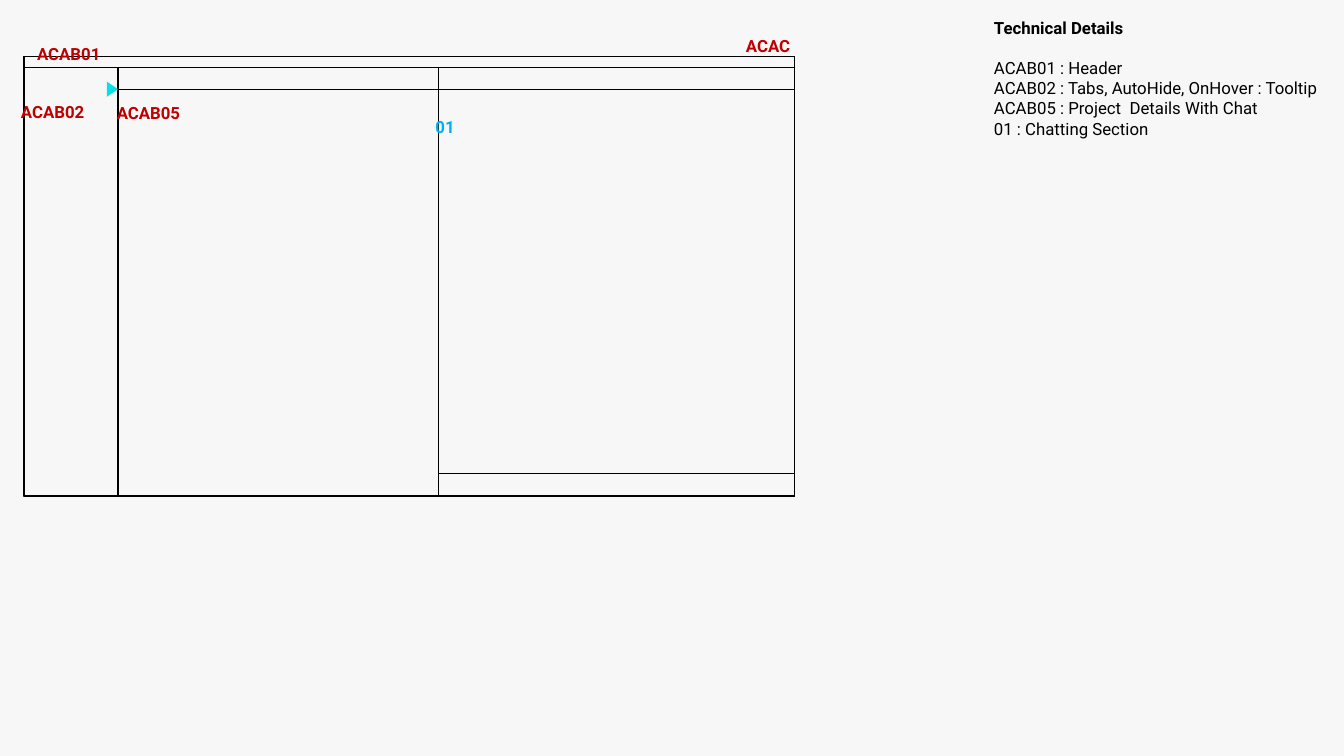
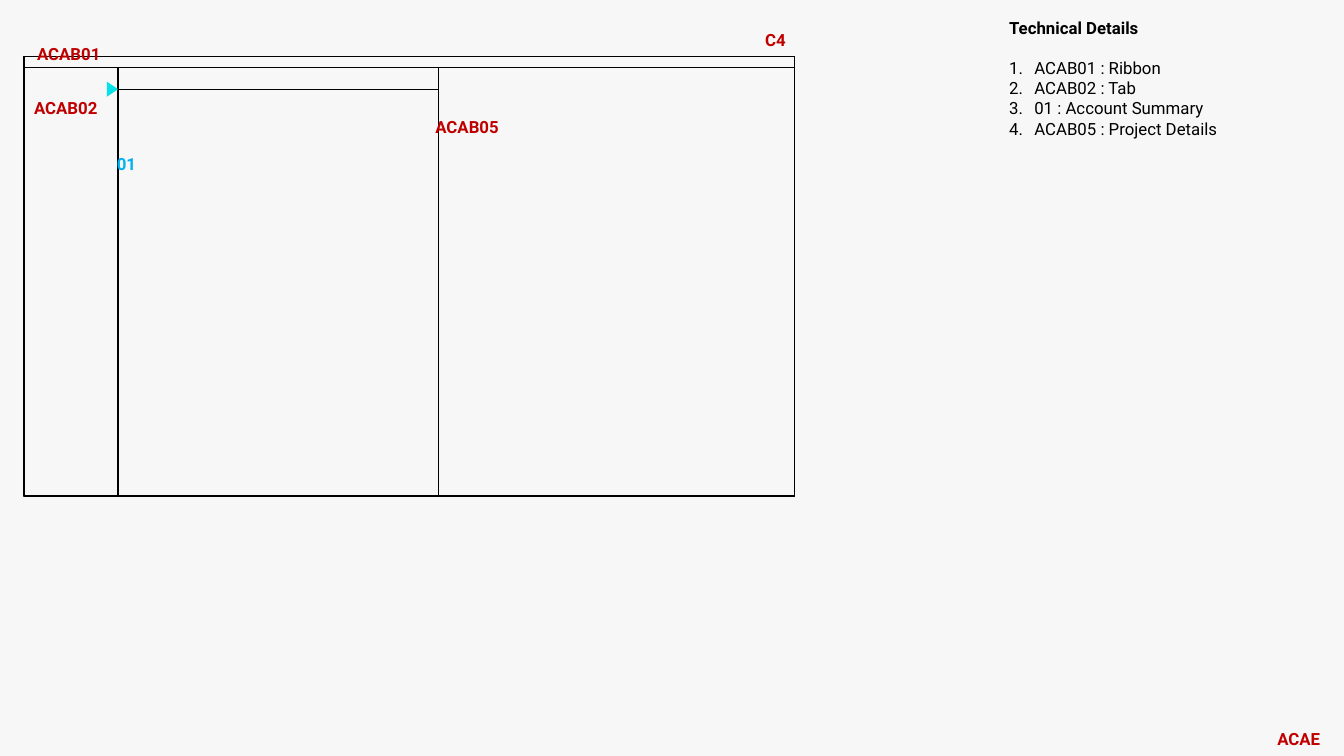
import lxml.etree
import pptx
import pptx.dml.color
import pptx.enum.shapes
import pptx.enum.text
import pptx.oxml.ns
import pptx.util

Inches = pptx.util.Inches
Pt = pptx.util.Pt
RGB = pptx.dml.color.RGBColor.from_string
SHAPE = pptx.enum.shapes.MSO_SHAPE


class Theme:
    font = "Roboto"
    size = Pt(12)
    line_width = Pt(1)
    heading_gap = Pt(14)
    background = RGB("F7F7F7")
    ink = RGB("000000")
    code = RGB("C00000")
    section = RGB("00B0F0")
    marker = RGB("05E1E7")


def add_text(s, x, y, w, h, lines, color, numbered=False):
    """Text box with a bold first line; further lines are plain, optionally numbered."""
    tf = s.shapes.add_textbox(Inches(x), Inches(y), Inches(w), Inches(h)).text_frame
    tf.word_wrap = True
    tf.auto_size = pptx.enum.text.MSO_AUTO_SIZE.SHAPE_TO_FIT_TEXT
    for i, line in enumerate(lines):
        p = tf.add_paragraph() if i else tf.paragraphs[0]
        r = p.add_run()
        r.text = line
        r.font.name, r.font.size = Theme.font, Theme.size
        r.font.bold = i == 0
        r.font.color.rgb = color
        if i == 0 and len(lines) > 1:
            p.space_after = Theme.heading_gap
        elif numbered:
            pPr = p._p.get_or_add_pPr()
            pPr.set("marL", str(Inches(0.25)))
            pPr.set("indent", str(-Inches(0.25)))
            bullet = lxml.etree.SubElement(pPr, pptx.oxml.ns.qn("a:buAutoNum"))
            bullet.set("type", "arabicPeriod")


def add_box(s, x, y, w, h):
    """Unfilled wireframe rectangle."""
    sp = s.shapes.add_shape(SHAPE.RECTANGLE, Inches(x), Inches(y), Inches(w), Inches(h))
    sp.shadow.inherit = False
    sp.fill.background()
    sp.line.color.rgb = Theme.ink
    sp.line.width = Theme.line_width


# Wireframe edges
left, tabs_right, chat_left, right = 0.24, 1.17, 4.35, 7.88
top, header_bottom, bottom = 0.56, 0.67, 4.92
bar = 0.22
body = bottom - header_bottom
chat = right - chat_left

frame = [
    (left, top, right - left, bottom - top),
    (left, top, right - left, header_bottom - top),
    (left, header_bottom, tabs_right - left, body),
    (tabs_right, header_bottom, chat_left - tabs_right, body),
    (chat_left, header_bottom, chat, body),
    (tabs_right, header_bottom, chat_left - tabs_right, bar),
]

# Content: labels are (text, left, top, width, colour)
screens = [
    {
        "bars": [(chat_left, header_bottom, chat, bar), (chat_left, bottom - bar, chat, bar)],
        "labels": [
            ("ACAB01", 0.27, 0.38, 0.93, Theme.code),
            ("ACAB02", 0.11, 0.96, 0.95, Theme.code),
            ("ACAB05", 1.06, 0.97, 0.95, Theme.code),
            ("01", 4.22, 1.11, 0.79, Theme.section),
            ("ACAC", 7.3, 0.31, 0.79, Theme.code),
        ],
        "details_at": (9.76, 0.13, 3.47, 1.51),
        "details": [
            "ACAB01 : Header",
            "ACAB02 : Tabs, AutoHide, OnHover : Tooltip",
            "ACAB05 : Project  Details With Chat",
            "01 : Chatting Section",
        ],
        "numbered": False,
    },
    {
        "bars": [],
        "labels": [
            ("ACAB01", 0.27, 0.38, 0.9, Theme.code),
            ("01", 1.06, 1.48, 0.79, Theme.section),
            ("ACAB05", 4.22, 1.11, 0.94, Theme.code),
            ("C4", 7.49, 0.25, 0.79, Theme.code),
            ("ACAE", 12.57, 7.18, 0.79, Theme.code),
            ("ACAB02", 0.24, 0.92, 0.9, Theme.code),
        ],
        "details_at": (9.91, 0.13, 3.32, 1.72),
        "details": [
            "ACAB01 : Ribbon",
            "ACAB02 : Tab",
            "01 : Account Summary",
            "ACAB05 : Project Details",
        ],
        "numbered": True,
    },
]

prs = pptx.Presentation()
prs.slide_width, prs.slide_height = Inches(13.33), Inches(7.5)
fill = prs.slide_master.background.fill
fill.solid()
fill.fore_color.rgb = Theme.background

for screen in screens:
    s = prs.slides.add_slide(prs.slide_layouts[6])

    # Wireframe
    for box in frame + screen["bars"]:
        add_box(s, *box)

    # Tab panel marker
    sp = s.shapes.add_shape(SHAPE.ISOSCELES_TRIANGLE, Inches(1.04), Inches(0.83),
                            Inches(0.15), Inches(0.11))
    sp.rotation = 90
    sp.shadow.inherit = False
    sp.fill.solid()
    sp.fill.fore_color.rgb = Theme.marker
    sp.line.fill.background()

    # Labels
    for text, x, y, w, color in screen["labels"]:
        add_text(s, x, y, w, 0.3, [text], color)

    # Technical details
    add_text(s, *screen["details_at"], ["Technical Details"] + screen["details"],
             Theme.ink, screen["numbered"])

prs.save("out.pptx")
